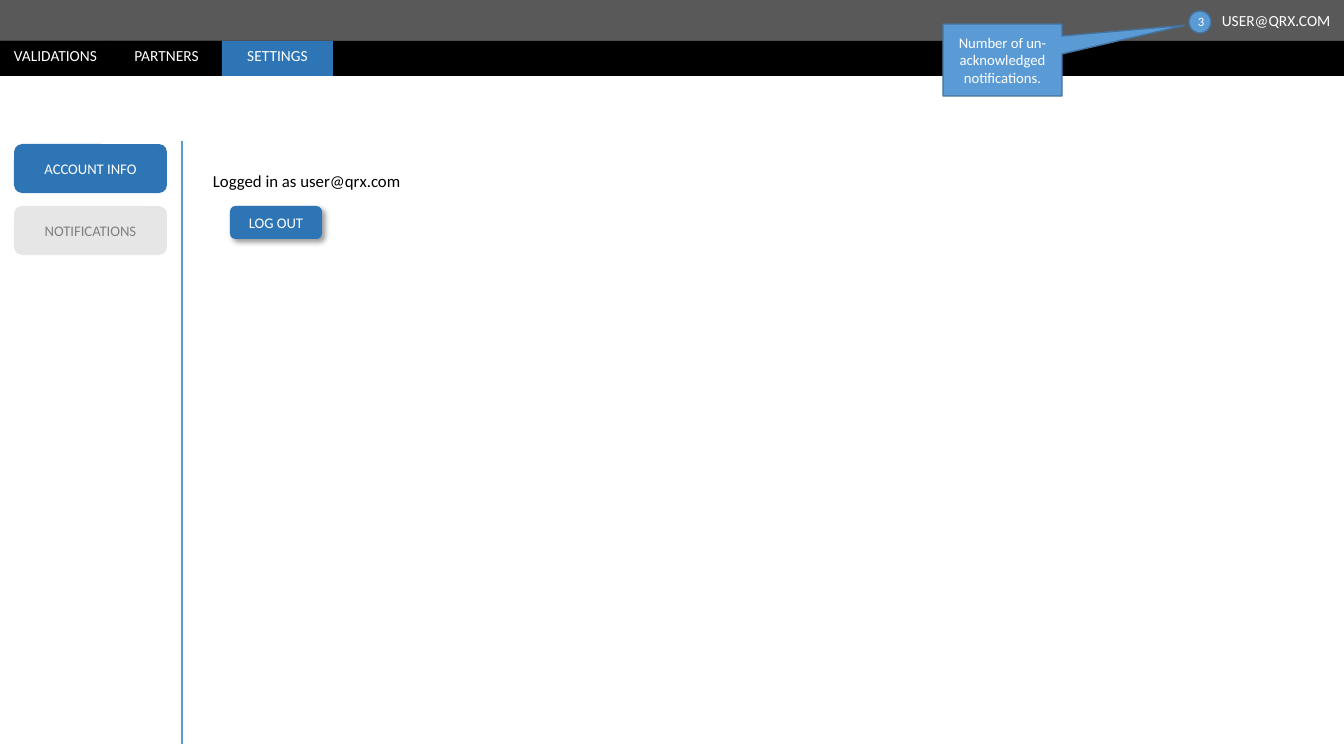
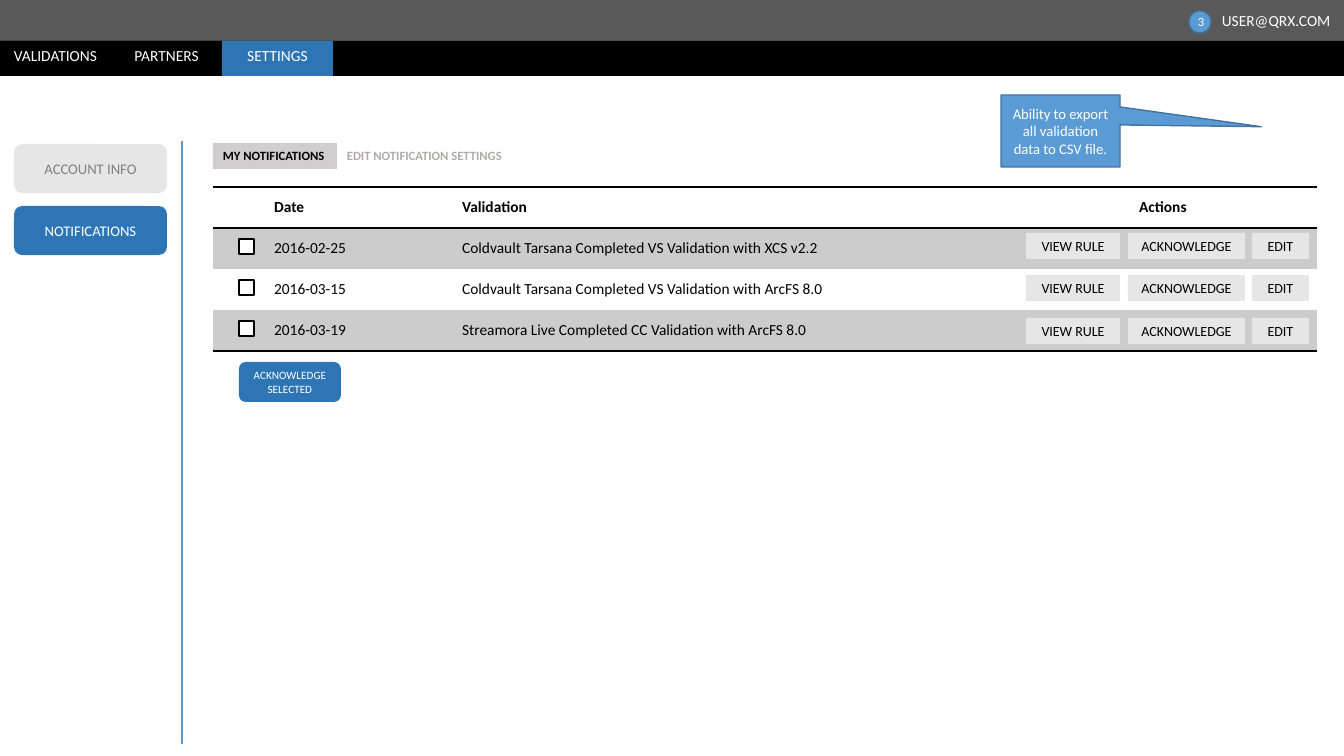
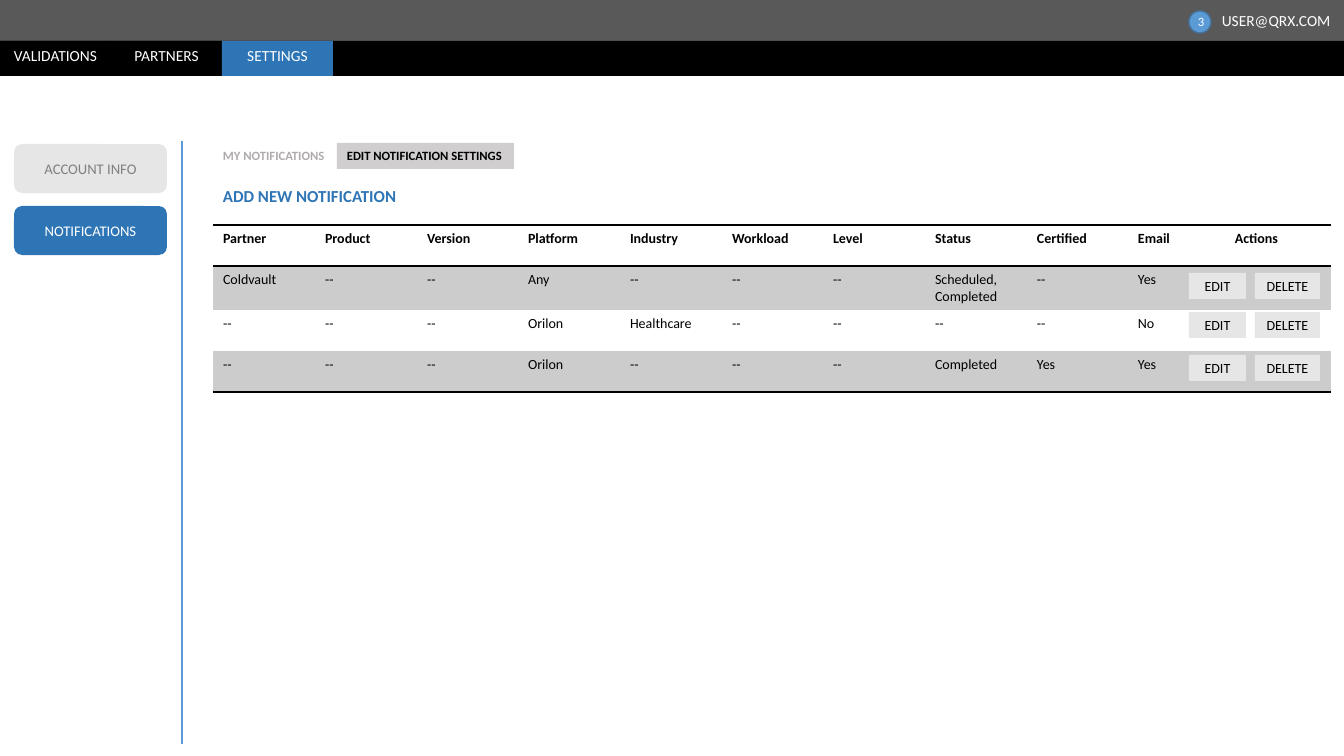
import pptx
import pptx.dml.color
import pptx.enum.shapes
import pptx.enum.text
import pptx.oxml
import pptx.oxml.ns
import pptx.util

PX = 9144000 / 1008  # EMU per px, 100.8 px to the inch
FONT = "Calibri"
COLORS = {
    "bar": "595959", "black": "000000", "white": "FFFFFF",
    "active": "2E75B6", "idle": "E7E6E6", "idle_text": "808080",
    "accent": "5B9BD5", "accent_line": "43739E",
    "tab": "D0CECE", "tab_text": "AFABAB", "band": "CCCCCC",
}
NO_STYLE_TABLE = "{2D5ABB26-0587-4C30-8999-92F81FD0307C}"
A_NS = pptx.oxml.ns.nsdecls("a")
RGB = pptx.dml.color.RGBColor.from_string
SHAPE = pptx.enum.shapes.MSO_SHAPE
ALIGN = pptx.enum.text.PP_ALIGN
ANCHOR = pptx.enum.text.MSO_ANCHOR


def box(slide, kind, rect, text="", fill=None, line=None, size=10.5, color="white",
        bold=False, align=ALIGN.CENTER, anchor=ANCHOR.MIDDLE, wrap=True):
    """Add a preset shape, or a plain text box when kind is None."""
    place = [round(v * PX) for v in rect]
    if kind is None:
        item = slide.shapes.add_textbox(*place)
    else:
        item = slide.shapes.add_shape(kind, *place)
        item.shadow.inherit = False
        item.fill.solid()
        item.fill.fore_color.rgb = RGB(COLORS[fill])
        if line:
            item.line.color.rgb = RGB(COLORS[line])
            item.line.width = pptx.util.Pt(1)
        else:
            item.line.fill.background()
    frame = item.text_frame
    frame.word_wrap = wrap
    frame.vertical_anchor = anchor
    if text:
        frame.text = text
        frame.paragraphs[0].alignment = align
        font = frame.paragraphs[0].runs[0].font
        font.name, font.size, font.bold = FONT, pptx.util.Pt(size), bold
        font.color.rgb = RGB(COLORS[color])
    return item


def grid(slide, left, top, widths, heights, rows, size, anchor):
    """Add a table with a ruled header, grey odd rows and a closing rule."""
    place = [round(v * PX) for v in (left, top, sum(widths), sum(heights))]
    table = slide.shapes.add_table(len(rows), len(widths), *place).table
    table.first_row = table.horz_banding = False
    table._tbl.tblPr.find(pptx.oxml.ns.qn("a:tableStyleId")).text = NO_STYLE_TABLE
    for column, width in zip(table.columns, widths):
        column.width = round(width * PX)
    for r, values in enumerate(rows):
        table.rows[r].height = round(heights[r] * PX)
        sides = {0: ("lnT", "lnB"), len(rows) - 1: ("lnB",)}.get(r, ())
        for c, value in enumerate(values):
            cell = table.cell(r, c)
            cell.vertical_anchor = anchor
            for side in sides:
                cell._tc.get_or_add_tcPr().append(pptx.oxml.parse_xml(
                    f'<a:{side} {A_NS} w="12700"><a:solidFill>'
                    f'<a:srgbClr val="{COLORS["black"]}"/></a:solidFill></a:{side}>'))
            if r % 2:
                cell.fill.solid()
                cell.fill.fore_color.rgb = RGB(COLORS["band"])
            else:
                cell.fill.background()
            if value:
                cell.text = value
                paragraph = cell.text_frame.paragraphs[0]
                paragraph.alignment = ALIGN.CENTER if value == "Actions" else ALIGN.LEFT
                font = paragraph.runs[0].font
                font.name, font.size, font.bold = FONT, pptx.util.Pt(size), r == 0
                font.color.rgb = RGB(COLORS["black"])


deck = pptx.Presentation()
deck.slide_width, deck.slide_height = round(1344 * PX), round(756 * PX)

# Shared frame: top bar, navigation, side menu, divider, badge
pages = []
for active_menu in ("ACCOUNT INFO", "NOTIFICATIONS", "NOTIFICATIONS"):
    page = deck.slides.add_slide(deck.slide_layouts[6])
    pages.append(page)
    box(page, SHAPE.RECTANGLE, (0, 0, 1344, 41), fill="bar")
    box(page, None, (1212, 6, 132, 29), "USER@QRX.COM", size=11,
        align=ALIGN.LEFT, anchor=ANCHOR.TOP, wrap=False)
    box(page, SHAPE.RECTANGLE, (0, 41, 1344, 35), fill="black")
    for i, section in enumerate(("VALIDATIONS", "PARTNERS", "SETTINGS")):
        nav_tab = box(page, SHAPE.RECTANGLE, (111 * i, 41, 111, 35), section, size=11,
                      fill="active" if section == "SETTINGS" else "black",
                      anchor=ANCHOR.TOP)
        nav_tab.text_frame.margin_top = round(5 * PX)
    for i, entry in enumerate(("ACCOUNT INFO", "NOTIFICATIONS")):
        chosen = entry == active_menu
        box(page, SHAPE.ROUNDED_RECTANGLE, (14, 144 + 62 * i, 153, 49), entry,
            fill="active" if chosen else "idle",
            color="white" if chosen else "idle_text")
    divider = page.shapes.add_connector(
        pptx.enum.shapes.MSO_CONNECTOR.STRAIGHT,
        *[round(v * PX) for v in (182, 141, 182, 744)])
    divider.line.color.rgb = RGB(COLORS["accent"])
    divider.line.width = pptx.util.Pt(1)
    divider._element.spPr.append(pptx.oxml.parse_xml(f"<a:effectLst {A_NS}/>"))
    box(page, SHAPE.OVAL, (1189, 11, 22, 22), "3", fill="accent",
        line="accent_line", size=9)

account, notifications, settings = pages

# Account info
box(account, None, (203, 166, 218, 30), "Logged in as user@qrx.com", size=12,
    color="black", align=ALIGN.LEFT, anchor=ANCHOR.TOP, wrap=False)
log_out = box(account, SHAPE.ROUNDED_RECTANGLE, (230, 206, 92, 33), "LOG OUT",
              fill="active")
log_out._element.spPr.find(pptx.oxml.ns.qn("a:effectLst")).append(pptx.oxml.parse_xml(
    f'<a:outerShdw {A_NS} blurRad="50800" dist="38100" dir="2700000" algn="tl" '
    f'rotWithShape="0"><a:srgbClr val="{COLORS["black"]}"><a:alpha val="40000"/>'
    '</a:srgbClr></a:outerShdw>'))

# Notification tabs
for page, active_tab in ((notifications, "MY NOTIFICATIONS"),
                         (settings, "EDIT NOTIFICATION SETTINGS")):
    for label, left, width in (("MY NOTIFICATIONS", 213, 124),
                               ("EDIT NOTIFICATION SETTINGS", 337, 177)):
        chosen = label == active_tab
        box(page, SHAPE.RECTANGLE if chosen else None, (left, 143, width, 26), label,
            fill="tab", size=9, color="black" if chosen else "tab_text", bold=True,
            align=ALIGN.LEFT, anchor=ANCHOR.TOP, wrap=False)

# My notifications
grid(notifications, 213, 187, (51, 188, 557, 308), [41] * 4, [
    ("", "Date", "Validation", "Actions"),
    ("", "2016-02-25", "Coldvault Tarsana Completed VS Validation with XCS v2.2", ""),
    ("", "2016-03-15", "Coldvault Tarsana Completed VS Validation with ArcFS 8.0", ""),
    ("", "2016-03-19", "Streamora Live Completed CC Validation with ArcFS 8.0", ""),
], 11, ANCHOR.MIDDLE)
for i in range(3):
    box(notifications, SHAPE.RECTANGLE, (239, 239 + 41 * i, 15, 15), fill="white",
        line="black")
box(notifications, SHAPE.ROUNDED_RECTANGLE, (239, 362, 102, 40),
    "ACKNOWLEDGE SELECTED", fill="active", size=8)

# Edit notification settings
box(settings, None, (213, 181, 206, 30), "ADD NEW NOTIFICATION", size=12,
    color="active", bold=True, align=ALIGN.LEFT, anchor=ANCHOR.TOP)
grid(settings, 213, 225, [102, 102, 101] * 3 + [54, 149], (41, 44, 41, 41), [
    ("Partner", "Product", "Version", "Platform", "Industry", "Workload", "Level",
     "Status", "Certified", "Email", "Actions"),
    ("Coldvault", "--", "--", "Any", "--", "--", "--", "Scheduled, Completed", "--",
     "Yes", ""),
    ("--", "--", "--", "Orilon", "Healthcare", "--", "--", "--", "--", "No", ""),
    ("--", "--", "--", "Orilon", "--", "--", "--", "Completed", "Yes", "Yes", ""),
], 10, ANCHOR.TOP)

# Row actions
for page, tops, actions in (
        (notifications, (233, 275, 318),
         (("VIEW RULE", 1026, 94), ("ACKNOWLEDGE", 1128, 117), ("EDIT", 1252, 57))),
        (settings, (273, 312, 355), (("EDIT", 1189, 57), ("DELETE", 1255, 65)))):
    for top in tops:
        for action, left, width in actions:
            box(page, SHAPE.RECTANGLE, (left, top, width, 26), action, fill="idle",
                size=10, color="black")

# Callouts
for page, left, top, tip, remark in (
        (account, 943, 24, (1.535, -0.482), "Number of un-acknowledged notifications."),
        (notifications, 1001, 95, (1.686, -0.059),
         "Ability to export all validation data to CSV file.")):
    callout = box(page, SHAPE.RECTANGULAR_CALLOUT, (left, top, 119, 72), remark,
                  fill="accent", line="accent_line")
    callout.adjustments[0], callout.adjustments[1] = tip

deck.save("out.pptx")
